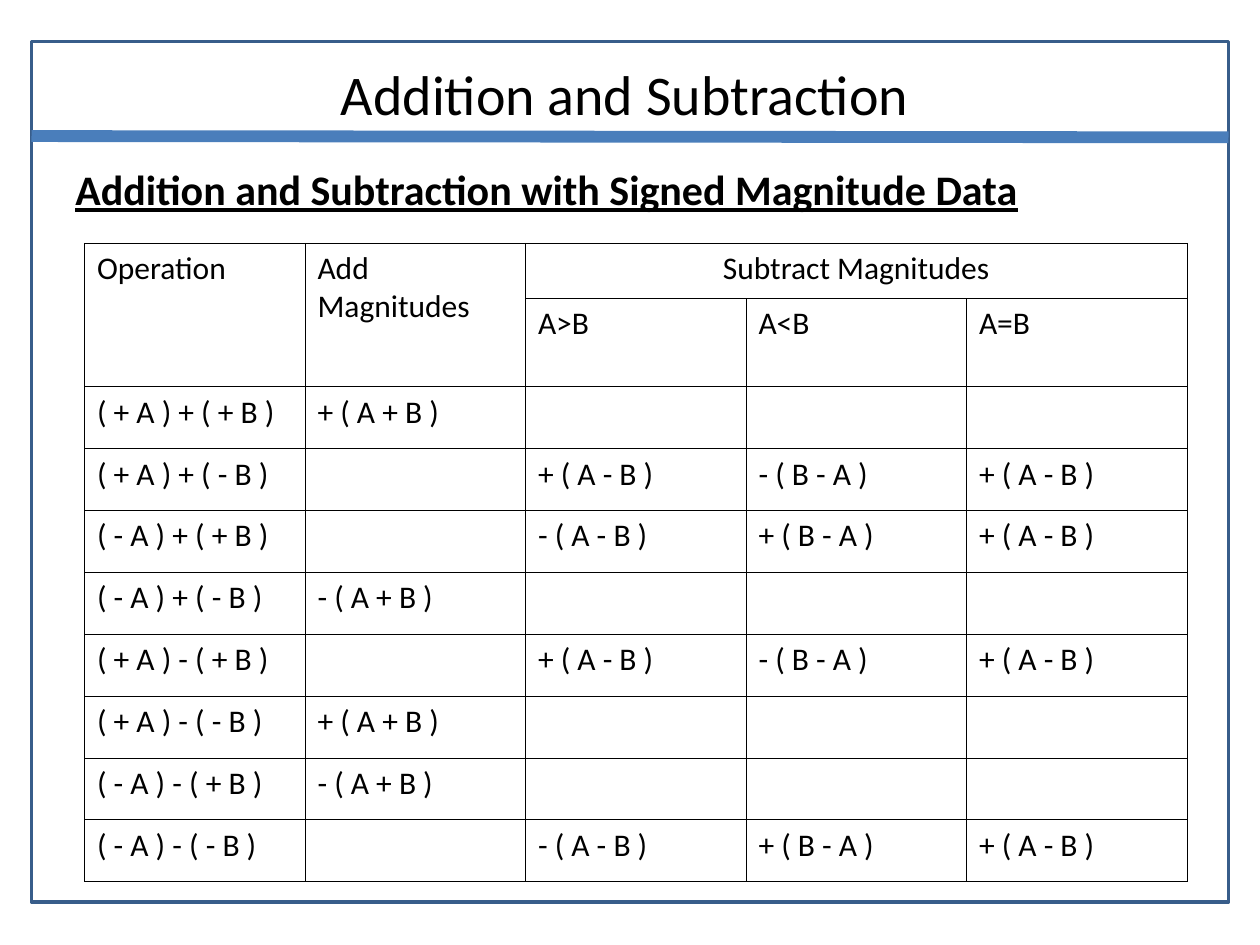
import itertools

import lxml.etree
import pptx
import pptx.dml.color
import pptx.enum.shapes
import pptx.enum.text
import pptx.oxml
import pptx.oxml.ns
import pptx.util

Inches = pptx.util.Inches
Pt = pptx.util.Pt
ALIGN = pptx.enum.text.PP_ALIGN
BASE = {"name": "Calibri", "size": Pt(18), "bold": False}
TITLE = {**BASE, "size": Pt(32)}
HEAD = {**BASE, "size": Pt(24), "bold": True, "underline": True}


def color(code):
    return pptx.dml.color.RGBColor.from_string(code)


def write(frame, text, style, align=ALIGN.LEFT):
    para = frame.paragraphs[0]
    para.alignment = align
    run = para.add_run()
    run.text = text
    for key, value in style.items():
        setattr(run.font, key, value)
    run.font.color.rgb = color("000000")


def add_text(slide, box, text, style, align=ALIGN.LEFT):
    frame = slide.shapes.add_textbox(*map(Inches, box)).text_frame
    frame.word_wrap = True
    write(frame, text, style, align)


def add_frame(slide, box):
    rect = slide.shapes.add_shape(
        pptx.enum.shapes.MSO_SHAPE.RECTANGLE, *map(Inches, box))
    rect.shadow.inherit = False
    rect.fill.background()
    rect.line.color.rgb = color("385D8A")
    rect.line.width = Pt(2)


def add_rule(slide, box):
    left, top, width, height = box
    ends = left, top, left + width, top + height
    rule = slide.shapes.add_connector(
        pptx.enum.shapes.MSO_CONNECTOR.STRAIGHT, *map(Inches, ends))
    rule.line.color.rgb = color("4A7EBB")
    rule.line.width = Pt(6.75)
    props = rule._element.spPr
    lxml.etree.SubElement(props, pptx.oxml.ns.qn("a:effectLst"))


def add_edges(cell):
    props = cell._tc.get_or_add_tcPr()
    for spot, side in enumerate("LRTB"):
        edge = pptx.oxml.parse_xml(
            f'<a:ln{side} {pptx.oxml.ns.nsdecls("a")} w="{Pt(0.45)}">'
            '<a:solidFill><a:srgbClr val="000000"/></a:solidFill>'
            f'</a:ln{side}>')
        props.insert(spot, edge)


def make_rows():
    rows = [["Operation", "Add Magnitudes", "Subtract Magnitudes", "", ""],
            ["", "", "A>B", "A<B", "A=B"]]
    flip = {"+": "-", "-": "+"}
    for op, a, b in itertools.product("+-", repeat=3):
        row = [f"( {a} A ) {op} ( {b} B )"]
        if (a == b) == (op == "+"):
            row += [f"{a} ( A + B )", "", "", ""]
        else:
            row += ["", f"{a} ( A - B )", f"{flip[a]} ( B - A )", "+ ( A - B )"]
        rows.append(row)
    return rows


def add_grid(slide, box):
    rows = make_rows()
    count = len(rows[0])
    grid = slide.shapes.add_table(len(rows), count, *map(Inches, box)).table
    for flag in ("first_row", "horz_banding"):
        setattr(grid, flag, False)
    for col in grid.columns:
        col.width = Inches(box[2] / count)
    tall = [0.44, 0.7]
    tall += [(box[3] - sum(tall)) / (len(rows) - 2)] * (len(rows) - 2)
    for row, height in zip(grid.rows, tall):
        row.height = Inches(height)
    for y, row in enumerate(rows):
        for x, text in enumerate(row):
            cell = grid.cell(y, x)
            cell.fill.background()
            add_edges(cell)
            if text:
                align = ALIGN.CENTER if (y, x) == (0, 2) else ALIGN.LEFT
                write(cell.text_frame, text, BASE, align)
    for start, end in (((0, 0), (1, 0)), ((0, 1), (1, 1)), ((0, 2), (0, 4))):
        grid.cell(*start).merge(grid.cell(*end))


def main():
    deck = pptx.Presentation()
    deck.slide_width = Inches(10)
    deck.slide_height = Inches(7.5)
    slide = deck.slides.add_slide(deck.slide_layouts[6])
    add_frame(slide, (0.25, 0.33, 9.5, 6.83))
    add_rule(slide, (0.25, 1.08, 9.5, 0.01))
    add_text(slide, (0.75, 0.42, 8.42, 0.64), "Addition and Subtraction",
             TITLE, ALIGN.CENTER)
    add_text(slide, (0.5, 1.25, 8.92, 0.5),
             "Addition and Subtraction with Signed Magnitude Data", HEAD)
    add_grid(slide, (0.67, 1.93, 8.75, 5.07))
    deck.save("out.pptx")


if __name__ == "__main__":
    main()
